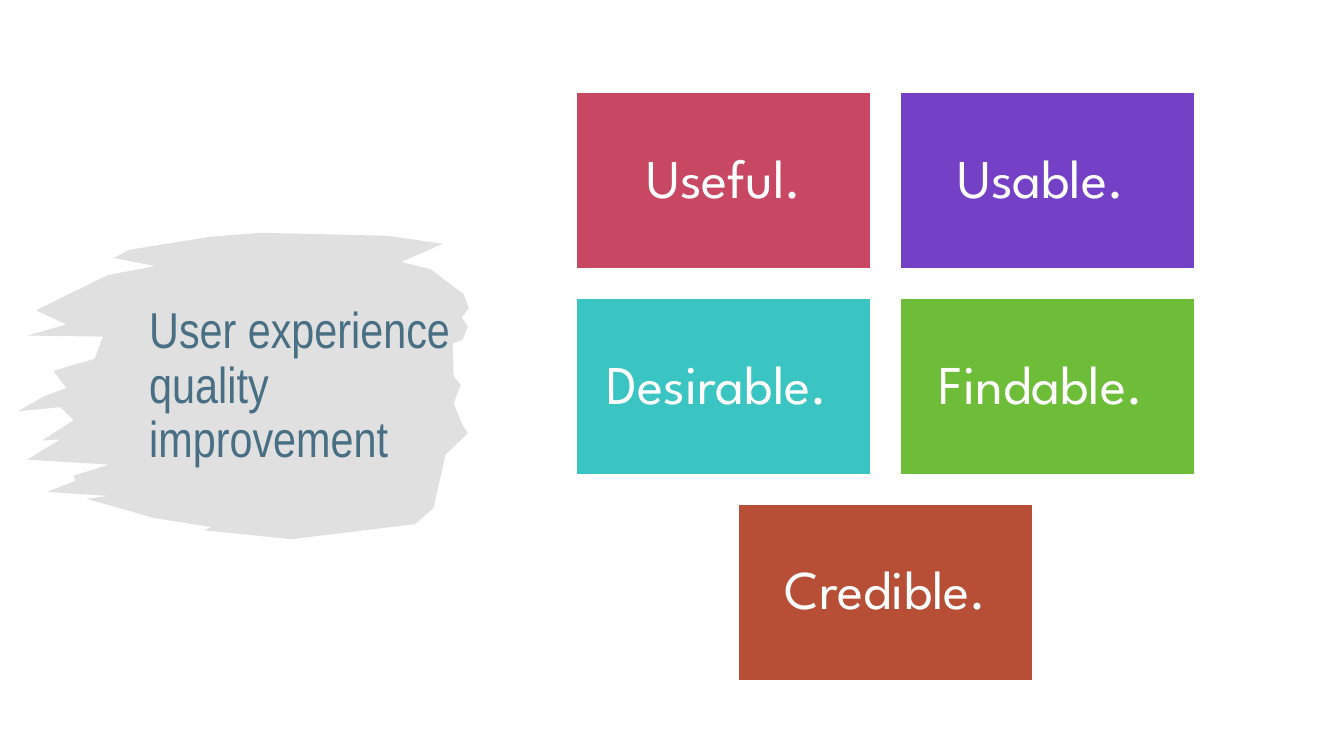
from dataclasses import dataclass

import lxml.etree
import pptx
import pptx.dml.color
import pptx.enum.shapes
import pptx.enum.text
import pptx.oxml.ns
import pptx.util

Inches = pptx.util.Inches
Align = pptx.enum.text.PP_ALIGN
Anchor = pptx.enum.text.MSO_ANCHOR

LEFT, TOP = 5.72, 0.92
WIDTH, HEIGHT = 2.92, 1.75
STEP_X, STEP_Y = 3.21, 2.04


@dataclass
class Card:
    text: str
    color: str
    col: float
    row: int


CARDS = [
    Card("Useful.", "C84864", 0, 0),
    Card("Usable. ", "7441C6", 1, 0),
    Card("Desirable. ", "3AC4C2", 0, 1),
    Card("Findable. ", "6EBD38", 1, 1),
    Card("Credible.", "B64F36", 0.5, 2),
]

BRUSH = [
    (2.59, 2.31), (3.85, 2.34), (4.39, 2.42), (3.98, 2.6), (4.27, 2.67),
    (4.6, 2.92), (4.65, 3.06), (4.58, 3.15), (4.64, 3.24), (4.59, 3.37),
    (4.49, 3.41), (4.5, 3.73), (4.57, 3.82), (4.5, 4.0), (4.58, 4.2),
    (4.64, 4.3), (4.42, 4.51), (4.3, 5.04), (4.12, 5.2), (2.89, 5.35),
    (2.02, 5.26), (2.1, 5.23), (1.53, 5.14), (0.86, 4.95), (1.07, 4.92),
    (0.47, 4.88), (0.75, 4.77), (0.73, 4.72), (1.08, 4.61), (0.27, 4.56),
    (0.6, 4.36), (0.42, 4.37), (0.73, 4.17), (0.6, 4.04), (0.18, 4.08),
    (0.44, 3.93), (0.66, 3.85), (0.53, 3.68), (0.94, 3.56), (1.02, 3.34),
    (0.27, 3.33), (0.66, 3.22), (0.36, 3.08), (0.66, 2.93), (1.07, 2.73),
    (1.54, 2.64), (1.13, 2.56), (1.28, 2.48), (2.08, 2.35),
]


def tint(hue: str) -> pptx.dml.color.RGBColor:
    return pptx.dml.color.RGBColor.from_string(hue)


def style(para, font: str, size: int, hue: str, align) -> None:
    para.alignment = align
    para.line_spacing = 0.9
    para.font.name = font
    para.font.size = pptx.util.Pt(size)
    para.font.color.rgb = tint(hue)


def draw_brush(slide):
    points = [(Inches(x), Inches(y)) for x, y in BRUSH]
    pen = slide.shapes.build_freeform(*points[0])
    pen.add_line_segments(points[1:], close=True)
    brush = pen.convert_to_shape()
    brush.shadow.inherit = False
    brush.fill.solid()
    brush.fill.fore_color.rgb = tint("D9D9D9")
    brush.line.fill.background()
    qn = pptx.oxml.ns.qn
    shade = brush.element.spPr.find(qn("a:solidFill")).find(qn("a:srgbClr"))
    lxml.etree.SubElement(shade, qn("a:alpha")).set("val", "80000")
    return brush


def draw_title(slide):
    title = slide.shapes.title
    title.left, title.top = Inches(1.38), Inches(1.64)
    title.width, title.height = Inches(3.52), Inches(4.4)
    frame = title.text_frame
    frame.text = "User experience quality improvement"
    frame.word_wrap = True
    frame.auto_size = pptx.enum.text.MSO_AUTO_SIZE.NONE
    frame.vertical_anchor = Anchor.MIDDLE
    style(frame.paragraphs[0], "Arial Narrow", 36, "486F83", Align.LEFT)
    return title


def draw_card(slide, card: Card) -> None:
    box = slide.shapes.add_shape(
        pptx.enum.shapes.MSO_SHAPE.RECTANGLE,
        Inches(LEFT + card.col * STEP_X), Inches(TOP + card.row * STEP_Y),
        Inches(WIDTH), Inches(HEIGHT))
    box.shadow.inherit = False
    box.fill.solid()
    box.fill.fore_color.rgb = tint(card.color)
    box.line.color.rgb = tint("FFFFFF")
    box.line.width = pptx.util.Pt(1)
    frame = box.text_frame
    frame.text = card.text
    frame.word_wrap = True
    frame.vertical_anchor = Anchor.MIDDLE
    frame.margin_left = frame.margin_right = Inches(0.16)
    frame.margin_top = frame.margin_bottom = Inches(0.16)
    style(frame.paragraphs[0], "League Spartan", 39, "FFFFFF", Align.CENTER)


def main() -> None:
    deck = pptx.Presentation()
    deck.slide_width, deck.slide_height = Inches(13.33), Inches(7.5)
    slide = deck.slides.add_slide(deck.slide_layouts[5])
    title = draw_title(slide)
    brush = draw_brush(slide)
    title.element.addprevious(brush.element)
    for card in CARDS:
        draw_card(slide, card)
    deck.save("out.pptx")


if __name__ == "__main__":
    main()
